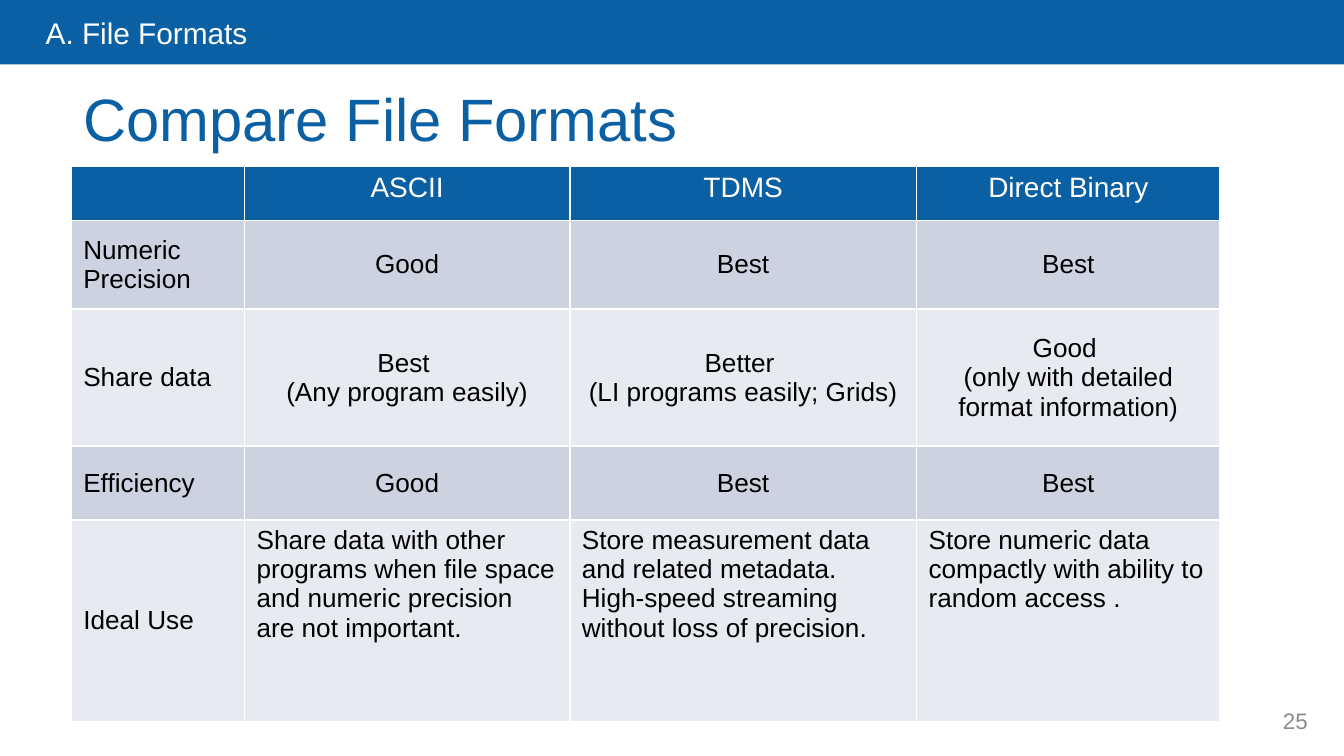
"""Build a slide that compares three file formats in a table."""
import dataclasses

import lxml.etree
import pptx
import pptx.dml.color
import pptx.enum.shapes
import pptx.enum.text
import pptx.oxml
import pptx.oxml.ns
import pptx.util

Inches = pptx.util.Inches
Align = pptx.enum.text.PP_ALIGN
Anchor = pptx.enum.text.MSO_ANCHOR

FONT = "Arial"
BLUE = "0A60A3"
WHITE = "FFFFFF"
BLACK = "000000"
GREY = "8C8C8C"
BANDS = ("CCD2E0", "E7EAF0")

SLIDE_WIDTH = 10
SLIDE_HEIGHT = SLIDE_WIDTH * 9 / 16
COLUMN_WIDTHS = (1.29, 2.42, 2.58, 2.26)
FORMATS = ("", "ASCII", "TDMS", "Direct Binary")


@dataclasses.dataclass(frozen=True)
class Style:
    size: float
    color: str
    align: Align = Align.LEFT
    anchor: Anchor = Anchor.TOP
    space_before: float = 0


@dataclasses.dataclass(frozen=True)
class Row:
    height: float
    texts: tuple[str, ...]
    fill: str
    label: Style
    value: Style


HEADER = Style(15, WHITE, Align.CENTER)
LABEL = Style(14, BLACK, anchor=Anchor.MIDDLE)
RATING = Style(14, BLACK, Align.CENTER, Anchor.MIDDLE)
ADVICE = Style(14, BLACK)

ROWS = (
    Row(0.4, FORMATS, BLUE, HEADER, HEADER),
    Row(0.66, ("Numeric Precision", "Good", "Best", "Best"), BANDS[0], LABEL, RATING),
    Row(1.02, (
        "Share data",
        "Best \v(Any program easily)",
        "Better \v(LI programs easily; Grids)",
        "Good \v(only with detailed format information)",
    ), BANDS[1], LABEL, RATING),
    Row(0.55, ("Efficiency", "Good", "Best", "Best"), BANDS[0], LABEL, RATING),
    Row(1.5, (
        "Ideal Use",
        "Share data with other programs when file space and numeric precision are not important.",
        "Store measurement data and related metadata. High-speed streaming without loss of precision.",
        "Store numeric data compactly with ability to random access .",
    ), BANDS[1], LABEL, ADVICE),
)


def rgb(color: str) -> pptx.dml.color.RGBColor:
    """Turn a hex string into a colour."""
    return pptx.dml.color.RGBColor.from_string(color)


def write(frame, text: str, style: Style) -> None:
    """Put styled text into a text frame."""
    frame.text = text
    frame.word_wrap = True
    frame.vertical_anchor = style.anchor
    for para in frame.paragraphs:
        para.alignment = style.align
        para.space_before = pptx.util.Pt(style.space_before)
        for span in para.runs:
            span.font.name = FONT
            span.font.size = pptx.util.Pt(style.size)
            span.font.bold = False
            span.font.color.rgb = rgb(style.color)


def place(box, left: float, top: float, width: float, height: float) -> None:
    """Move and size a shape."""
    box.left, box.top = Inches(left), Inches(top)
    box.width, box.height = Inches(width), Inches(height)


def add_bar(page) -> None:
    """Draw the blue bar behind everything else."""
    bar = page.shapes.add_shape(
        pptx.enum.shapes.MSO_SHAPE.RECTANGLE, 0, 0, Inches(SLIDE_WIDTH), Inches(0.48))
    bar.shadow.inherit = False
    bar.fill.solid()
    bar.fill.fore_color.rgb = rgb(BLUE)
    bar.line.fill.background()
    page.shapes.title.element.addprevious(bar.element)


def add_headings(page) -> None:
    """Fill the title and the section name in the bar."""
    title, section = page.placeholders
    place(title, 0.52, 0.56, 8.58, 0.64)
    write(title.text_frame, "Compare File Formats", Style(32, BLUE, space_before=5.7))
    place(section, 0.24, 0.06, 7.18, 0.35)
    write(section.text_frame, "A. File Formats", Style(16, WHITE, space_before=5.7))
    for box in (title, section):
        box.text_frame.auto_size = pptx.enum.text.MSO_AUTO_SIZE.NONE
    properties = section.text_frame.paragraphs[0]._p.get_or_add_pPr()
    properties.set("marL", "0")
    properties.set("indent", "0")
    lxml.etree.SubElement(properties, pptx.oxml.ns.qn("a:buNone"))


def set_borders(cell) -> None:
    """Give a cell thin white borders, which precede its fill."""
    properties = cell._tc.get_or_add_tcPr()
    for index, side in enumerate(("lnL", "lnR", "lnT", "lnB")):
        properties.insert(index, pptx.oxml.parse_xml(
            f'<a:{side} {pptx.oxml.ns.nsdecls("a")} w="12700"><a:solidFill>'
            f'<a:srgbClr val="{WHITE}"/></a:solidFill></a:{side}>'))


def add_comparison(page) -> None:
    """Draw the table of formats and their qualities."""
    table = page.shapes.add_table(
        len(ROWS), len(COLUMN_WIDTHS), Inches(0.53), Inches(1.24),
        Inches(sum(COLUMN_WIDTHS)), Inches(sum(row.height for row in ROWS))).table
    for column, width in zip(table.columns, COLUMN_WIDTHS):
        column.width = Inches(width)
    for table_row, row in zip(table.rows, ROWS):
        table_row.height = Inches(row.height)
        for index, (cell, text) in enumerate(zip(table_row.cells, row.texts)):
            style = row.value if index else row.label
            write(cell.text_frame, text, style)
            cell.vertical_anchor = style.anchor
            cell.margin_left = cell.margin_right = Inches(0.09)
            cell.margin_top = cell.margin_bottom = Inches(0.04)
            cell.fill.solid()
            cell.fill.fore_color.rgb = rgb(row.fill)
            set_borders(cell)


def add_page_number(page) -> None:
    """Write the page number at the bottom right."""
    box = page.shapes.add_textbox(Inches(9.33), Inches(5.21), Inches(0.5), Inches(0.3))
    write(box.text_frame, "25", Style(12, GREY, Align.RIGHT, Anchor.MIDDLE))


def main() -> None:
    """Build and save the deck."""
    deck = pptx.Presentation()
    deck.slide_width, deck.slide_height = Inches(SLIDE_WIDTH), Inches(SLIDE_HEIGHT)
    page = deck.slides.add_slide(deck.slide_layouts[1])
    add_bar(page)
    add_headings(page)
    add_comparison(page)
    add_page_number(page)
    deck.save("out.pptx")


if __name__ == "__main__":
    main()
